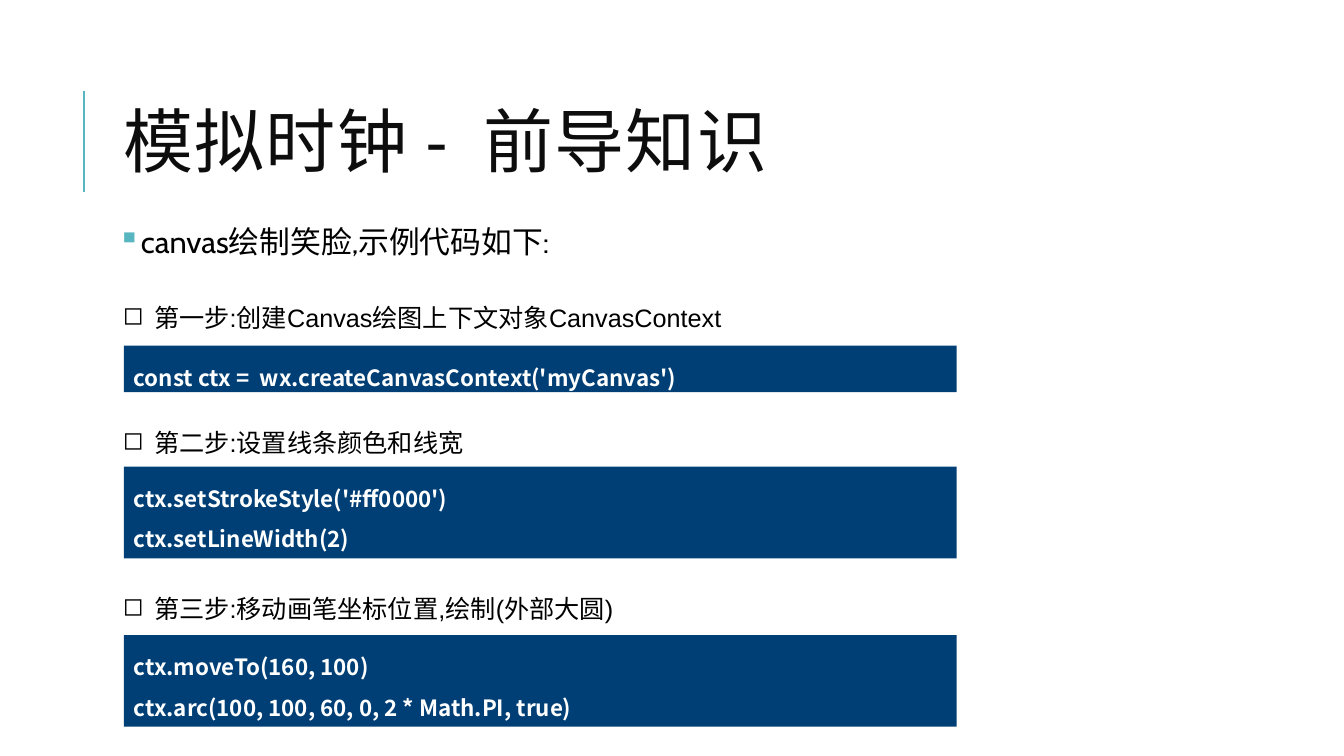
import pptx
import pptx.util
import pptx.dml.color
import pptx.enum.shapes
import pptx.enum.text
import pptx.oxml
import pptx.oxml.ns

Inches, Pt = pptx.util.Inches, pptx.util.Pt
ANCHOR = pptx.enum.text.MSO_ANCHOR
AUTO_SIZE = pptx.enum.text.MSO_AUTO_SIZE
COLORS = {"title": "0D0D0D", "text": "000000", "code": "FFFFFF",
          "panel": "003F75", "accent": "58B6C0"}
CJK_FONT = "Noto Sans CJK SC"


def add_xml(parent, tag, **attributes):
    child = pptx.oxml.parse_xml(f"<{tag} {pptx.oxml.ns.nsdecls('a')}/>")
    for key, value in attributes.items():
        child.set(key, str(value))
    parent.append(child)
    return child


def write(frame, text, size, font, color, spacing, bold=False, bullet=None,
          bullet_color=None, indent=0, before=0, after=0,
          anchor=ANCHOR.TOP, fit=AUTO_SIZE.NONE, tracking=None):
    frame.word_wrap = True
    frame.auto_size = fit
    frame.vertical_anchor = anchor
    for number, line in enumerate(text.split("\n")):
        paragraph = frame.add_paragraph() if number else frame.paragraphs[0]
        paragraph.alignment = pptx.enum.text.PP_ALIGN.LEFT
        paragraph.line_spacing = spacing
        paragraph.space_before, paragraph.space_after = Pt(before), Pt(after)
        run = paragraph.add_run()
        run.text = line
        run.font.size, run.font.name, run.font.bold = Pt(size), font, bold
        run.font.color.rgb = pptx.dml.color.RGBColor.from_string(COLORS[color])
        run_format = run.font._element
        add_xml(run_format, "a:ea", typeface=CJK_FONT)
        if tracking:
            run_format.set("spc", str(tracking))
        if bullet:
            layout = paragraph._p.get_or_add_pPr()
            layout.set("marL", str(Inches(indent)))
            layout.set("indent", str(-Inches(indent)))
            if bullet_color:
                add_xml(add_xml(layout, "a:buClr"), "a:srgbClr",
                        val=COLORS[bullet_color])
            add_xml(layout, "a:buChar", char=bullet)


deck = pptx.Presentation()
deck.slide_width, deck.slide_height = Inches(13.33), Inches(7.5)
slide = deck.slides.add_slide(deck.slide_layouts[5])
shapes = slide.shapes

# Accent line beside the title
accent = shapes.add_connector(pptx.enum.shapes.MSO_CONNECTOR.STRAIGHT,
                              Inches(0.83), Inches(1.9), Inches(0.83), Inches(0.9))
accent.line.color.rgb = pptx.dml.color.RGBColor.from_string(COLORS["accent"])
accent.line.width = Pt(1.5)
add_xml(accent._element.spPr, "a:effectLst")

# Title
title = shapes.title
title.left, title.top = Inches(1.12), Inches(0.64)
title.width, title.height = Inches(10.63), Inches(1.64)
write(title.text_frame, "模拟时钟 -  前导知识", size=50, font="Calibri",
      color="title", spacing=0.8, anchor=ANCHOR.MIDDLE, tracking=100)

# Introduction
intro = shapes.add_textbox(Inches(1.12), Inches(2.2), Inches(11.43), Inches(0.87))
intro.text_frame.margin_left = intro.text_frame.margin_right = Inches(0.05)
write(intro.text_frame, "canvas绘制笑脸,示例代码如下:".replace(",", ",").replace(":", ":"),
      size=22, font="Cabin", color="text", spacing=0.9, before=12, after=2,
      bullet="▪", bullet_color="accent", indent=0.1)

# Steps: heading top, heading, code top, code height, code
steps = [
    (2.65, "第一步:创建Canvas绘图上下文对象CanvasContext",
     3.43, 0.46, "const ctx =  wx.createCanvasContext('myCanvas')"),
    (3.89, "第二步:设置线条颜色和线宽",
     4.63, 0.91, "ctx.setStrokeStyle('#ff0000')\nctx.setLineWidth(2)"),
    (5.54, "第三步:移动画笔坐标位置,绘制(外部大圆)",
     6.3, 0.91, "ctx.moveTo(160, 100)\nctx.arc(100, 100, 60, 0, 2 * Math.PI, true)"),
]
for heading_top, heading, code_top, code_height, code in steps:
    step = shapes.add_textbox(Inches(1.12), Inches(heading_top), Inches(8.65), Inches(0.61))
    write(step.text_frame, heading, size=18, font="Arial", color="text", spacing=2,
          bullet="◻", indent=0.31, fit=AUTO_SIZE.SHAPE_TO_FIT_TEXT)
    panel = shapes.add_shape(pptx.enum.shapes.MSO_SHAPE.RECTANGLE, Inches(1.23),
                             Inches(code_top), Inches(8.26), Inches(code_height))
    panel.shadow.inherit = False
    panel.fill.solid()
    panel.fill.fore_color.rgb = pptx.dml.color.RGBColor.from_string(COLORS["panel"])
    panel.line.fill.background()
    write(panel.text_frame, code, size=16, font=CJK_FONT, color="code", spacing=1.5,
          bold=True, fit=AUTO_SIZE.SHAPE_TO_FIT_TEXT)

deck.save("out.pptx")
